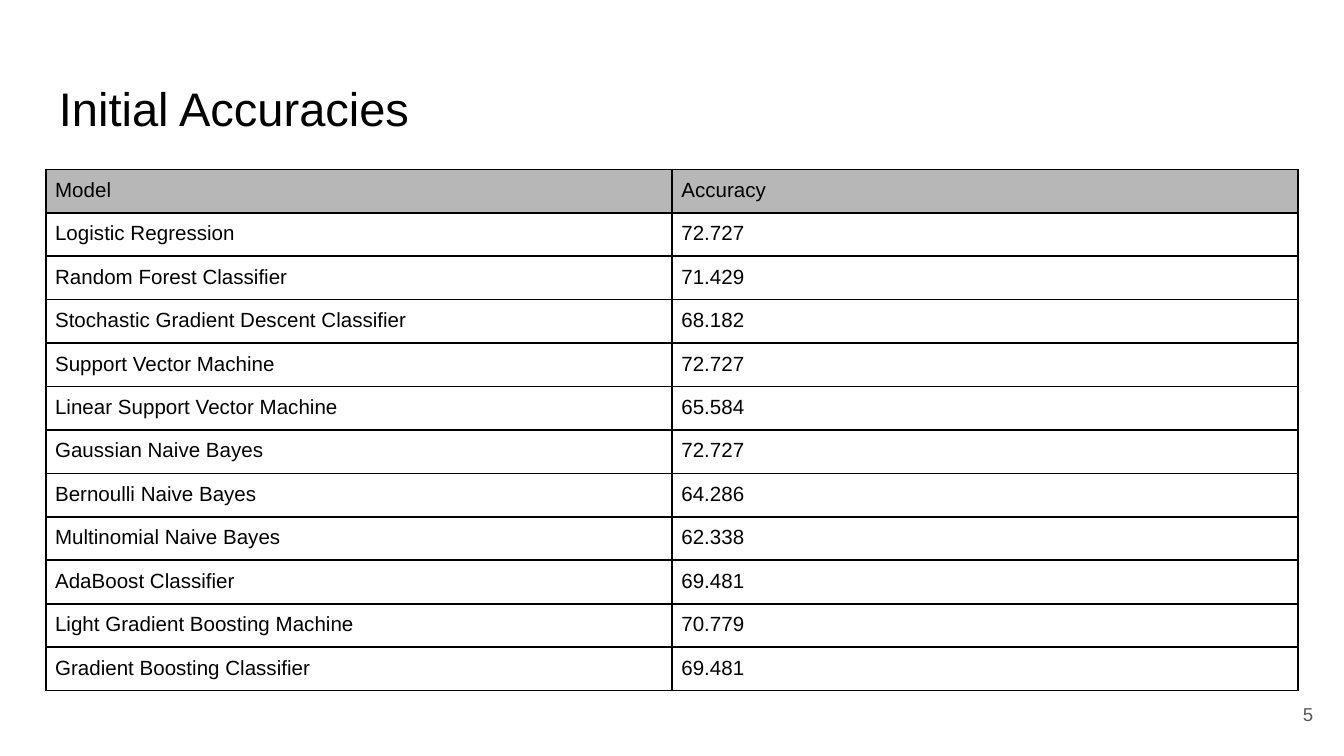
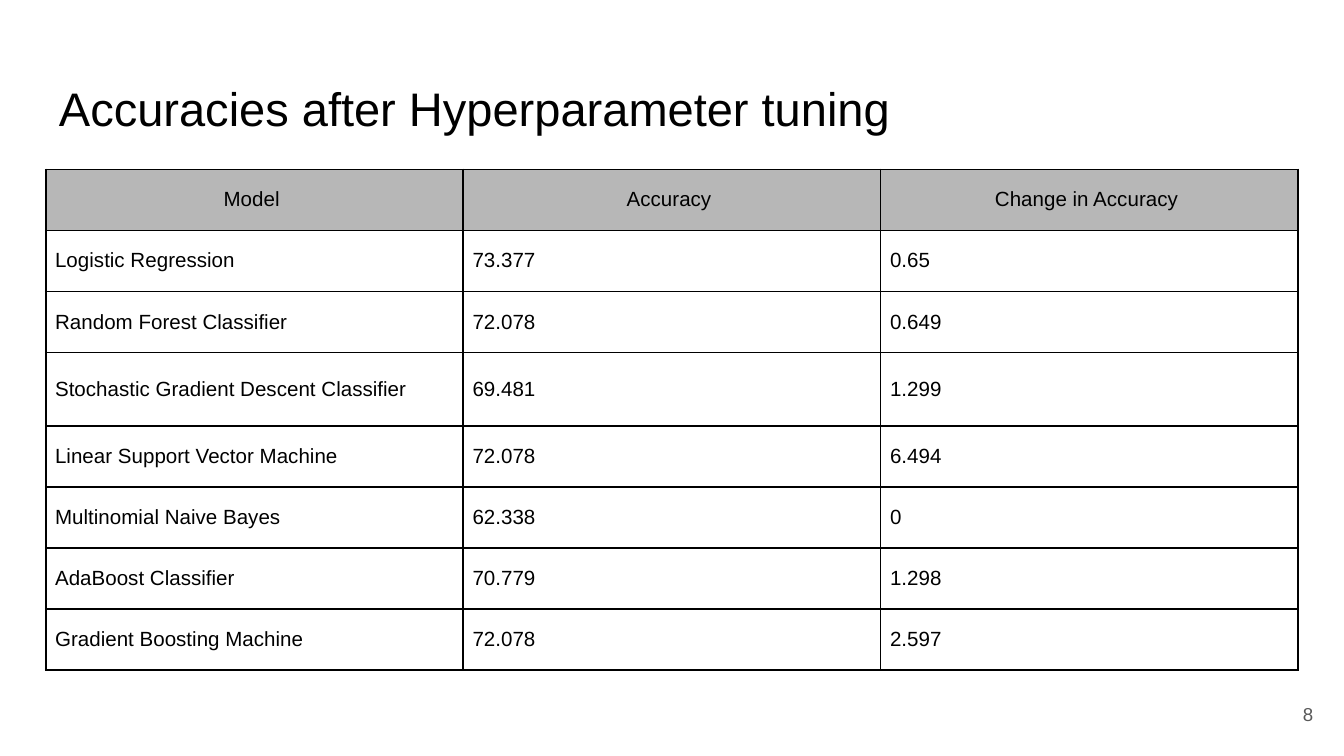
from lxml import etree
from pptx import Presentation
from pptx.dml.color import RGBColor
from pptx.enum.text import MSO_ANCHOR, PP_ALIGN
from pptx.oxml.ns import qn
from pptx.util import Inches, Pt

LEFT, CENTER, RIGHT = PP_ALIGN.LEFT, PP_ALIGN.CENTER, PP_ALIGN.RIGHT
TOP, MIDDLE = MSO_ANCHOR.TOP, MSO_ANCHOR.MIDDLE

# Content
SLIDES = [
    {
        "title": "Initial Accuracies",
        "page": "5",
        "header_align": LEFT,
        "anchor": TOP,
        "table_height": 3.87,
        "tall_rows": {},
        "rows": [
            ("Model", "Accuracy"),
            ("Logistic Regression", "72.727"),
            ("Random Forest Classifier", "71.429"),
            ("Stochastic Gradient Descent Classifier", "68.182"),
            ("Support Vector Machine", "72.727"),
            ("Linear Support Vector Machine", "65.584"),
            ("Gaussian Naive Bayes", "72.727"),
            ("Bernoulli Naive Bayes", "64.286"),
            ("Multinomial Naive Bayes", "62.338"),
            ("AdaBoost Classifier", "69.481"),
            ("Light Gradient Boosting Machine", "70.779"),
            ("Gradient Boosting Classifier", "69.481"),
        ],
    },
    {
        "title": "Accuracies after Hyperparameter tuning",
        "page": "8",
        "header_align": CENTER,
        "anchor": MIDDLE,
        "table_height": 3.73,
        "tall_rows": {3: 0.55},
        "rows": [
            ("Model ", "Accuracy ", "Change in Accuracy "),
            ("Logistic Regression", "73.377", "0.65"),
            ("Random Forest Classifier", "72.078", "0.649"),
            ("Stochastic Gradient Descent Classifier", "69.481", "1.299"),
            ("Linear Support Vector Machine", "72.078", "6.494"),
            ("Multinomial Naive Bayes", "62.338", "0"),
            ("AdaBoost Classifier", "70.779", "1.298"),
            ("Gradient Boosting Machine", "72.078", "2.597"),
        ],
    },
]

# Shared style
FONT = "Arial"
BLACK = RGBColor(0x00, 0x00, 0x00)
WHITE = RGBColor(0xFF, 0xFF, 0xFF)
HEADER_GRAY = RGBColor(0xB7, 0xB7, 0xB7)
PAGE_GRAY = RGBColor(0x59, 0x59, 0x59)
SLIDE_WIDTH = 10
SLIDE_HEIGHT = SLIDE_WIDTH * 9 / 16
MARGIN = 0.34
CONTENT_WIDTH = SLIDE_WIDTH - 2 * MARGIN
TABLE_TOP = 1.26
TITLE_BOX = (MARGIN, 0.49, CONTENT_WIDTH, 0.63)
PAGE_BOX = (9.27, 5.1, 0.6, 0.43)
CELL_INSET, BOX_INSET = Inches(0.07), Inches(0.1)


def write(holder, text, size, color, align, anchor, inset):
    """Fill a text frame or a table cell with one styled paragraph."""
    holder.margin_left = holder.margin_right = inset
    holder.margin_top = holder.margin_bottom = inset
    holder.vertical_anchor = anchor
    frame = getattr(holder, "text_frame", holder)
    paragraph = frame.paragraphs[0]
    paragraph.text = text
    paragraph.alignment = align
    paragraph.font.name = FONT
    paragraph.font.size = Pt(size)
    paragraph.font.color.rgb = color


def add_text(slide, box, text, size, color, align, anchor):
    frame = slide.shapes.add_textbox(*map(Inches, box)).text_frame
    frame.word_wrap = True
    write(frame, text, size, color, align, anchor, BOX_INSET)


def add_borders(cell):
    """Draw a black one-point line on all four sides."""
    properties = cell._tc.get_or_add_tcPr()
    for index, side in enumerate(("a:lnL", "a:lnR", "a:lnT", "a:lnB")):
        line = etree.Element(qn(side), w=str(Pt(1)))
        fill = etree.SubElement(line, qn("a:solidFill"))
        etree.SubElement(fill, qn("a:srgbClr"), val=str(BLACK))
        properties.insert(index, line)


def add_accuracy_table(slide, content):
    rows, tall_rows = content["rows"], content["tall_rows"]
    height = content["table_height"]
    column_count = len(rows[0])
    table = slide.shapes.add_table(
        len(rows), column_count, Inches(MARGIN), Inches(TABLE_TOP),
        Inches(CONTENT_WIDTH), Inches(height)).table

    # Equal columns; rows share the height that the tall ones leave
    for column in table.columns:
        column.width = Inches(CONTENT_WIDTH / column_count)
    row_height = (height - sum(tall_rows.values())) / (len(rows) - len(tall_rows))

    for row_index, values in enumerate(rows):
        is_header = row_index == 0
        table.rows[row_index].height = Inches(tall_rows.get(row_index, row_height))
        for column_index, value in enumerate(values):
            cell = table.cell(row_index, column_index)
            align = content["header_align"] if is_header else LEFT
            write(cell, value, 11, BLACK, align, content["anchor"], CELL_INSET)
            if is_header:
                cell.fill.solid()
                cell.fill.fore_color.rgb = HEADER_GRAY
            else:
                cell.fill.background()
            add_borders(cell)


def main():
    presentation = Presentation()
    presentation.slide_width = Inches(SLIDE_WIDTH)
    presentation.slide_height = Inches(SLIDE_HEIGHT)
    blank_layout = presentation.slide_layouts[6]
    for content in SLIDES:
        slide = presentation.slides.add_slide(blank_layout)
        slide.background.fill.solid()
        slide.background.fill.fore_color.rgb = WHITE
        add_text(slide, TITLE_BOX, content["title"], 25.2, BLACK, LEFT, TOP)
        add_accuracy_table(slide, content)
        add_text(slide, PAGE_BOX, content["page"], 10, PAGE_GRAY, RIGHT, MIDDLE)
    presentation.save("out.pptx")


if __name__ == "__main__":
    main()
